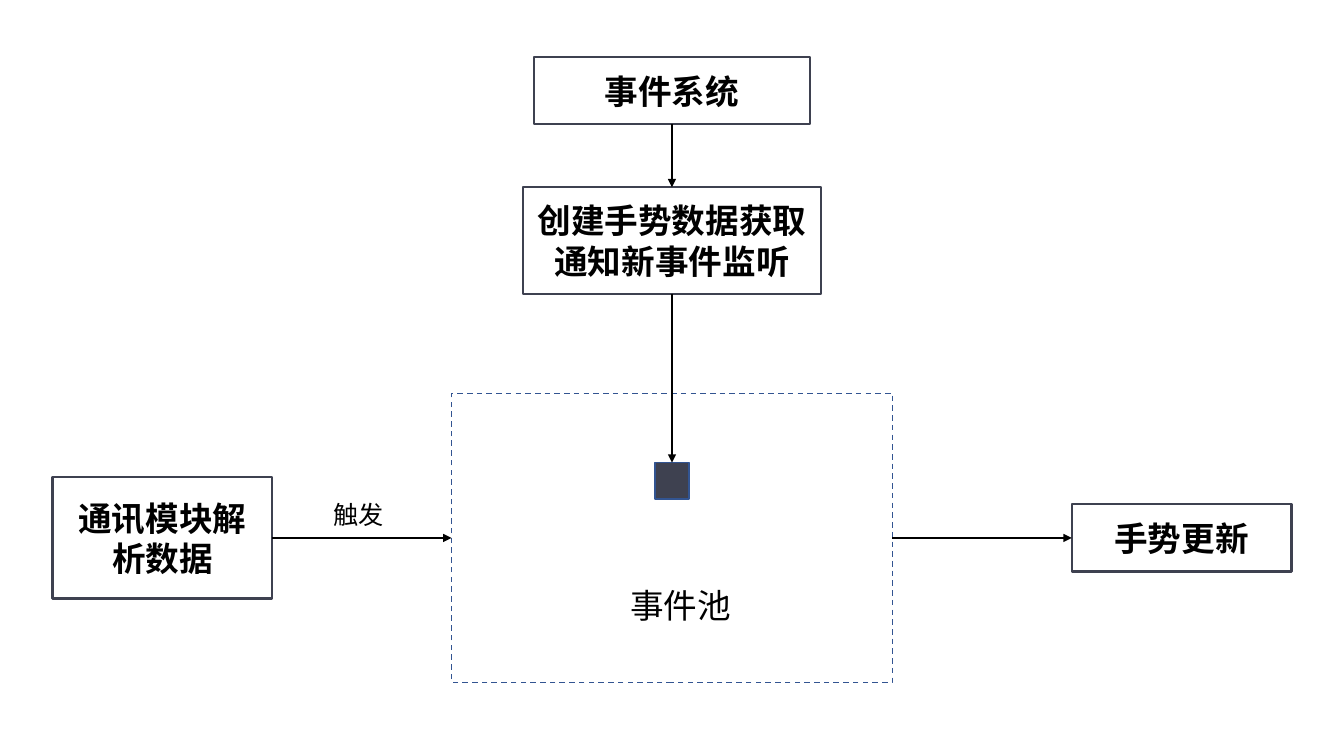
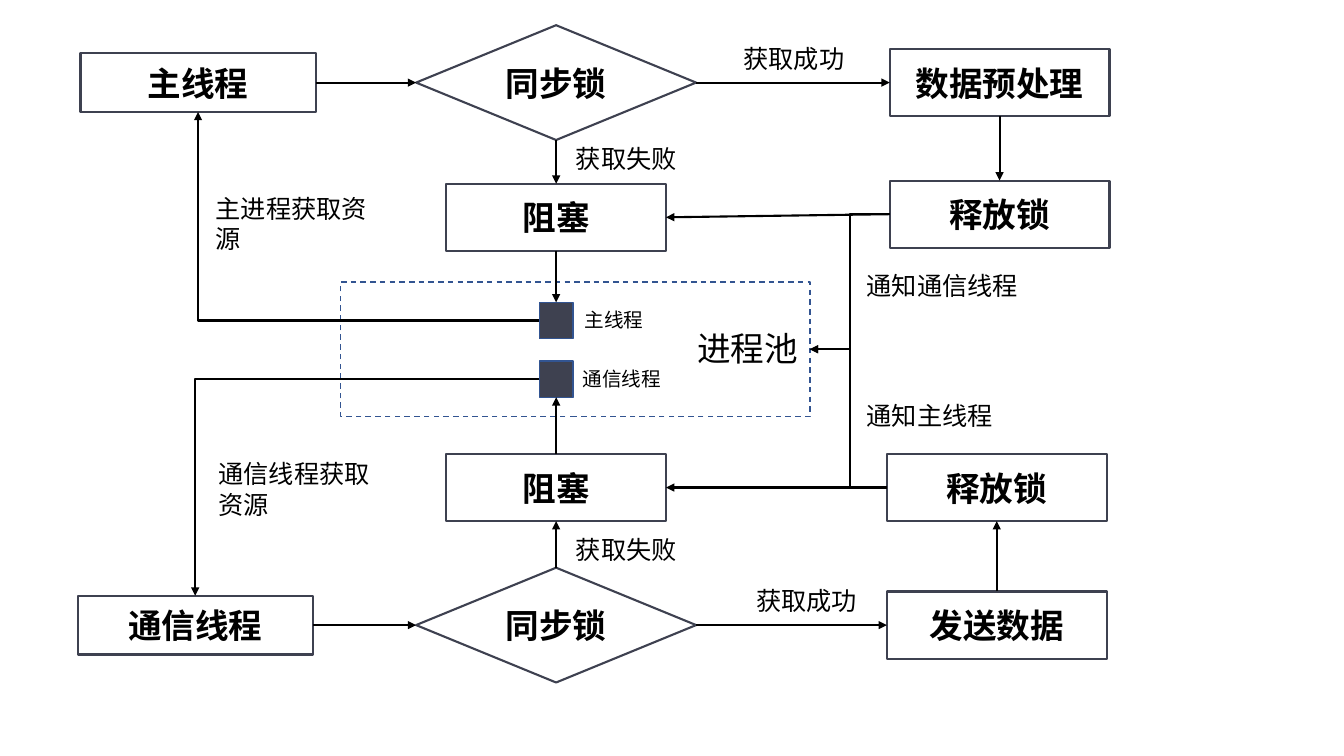
from pptx import Presentation
from pptx.dml.color import RGBColor
from pptx.enum.dml import MSO_LINE
from pptx.enum.shapes import MSO_CONNECTOR as LINK, MSO_SHAPE as SHAPE
from pptx.enum.text import MSO_ANCHOR, MSO_AUTO_SIZE, PP_ALIGN
from pptx.oxml.ns import qn
from pptx.util import Pt
from lxml.etree import SubElement

BLACK = RGBColor(0x00, 0x00, 0x00)
WHITE = RGBColor(0xFF, 0xFF, 0xFF)
SLATE = RGBColor(0x3E, 0x41, 0x50)
BLUE = RGBColor(0x32, 0x54, 0x91)
FONT = "Noto Sans CJK SC"
TOP, LEFT, FOOT, RIGHT = range(4)
STEP = (157, 48)
THREAD = (168, 42)
LOCK = (200, 82)
NODE = (24, 26)


def write(frame, text, size, bold=False, align=PP_ALIGN.LEFT):
    frame.word_wrap = True
    para = frame.paragraphs[0]
    para.text = text
    para.alignment = align
    font = para.font
    font.name = FONT
    font.size = Pt(size)
    font.bold = bold
    font.color.rgb = BLACK
    props = para._p.pPr.find(qn("a:defRPr"))
    SubElement(props, qn("a:ea"), typeface=FONT)


def block(slide, kind, x, y, size, fill, edge, weight):
    shape = slide.shapes.add_shape(kind, Pt(x), Pt(y), *map(Pt, size))
    shape.shadow.inherit = False
    if fill is None:
        shape.fill.background()
    else:
        shape.fill.solid()
        shape.fill.fore_color.rgb = fill
    shape.line.color.rgb = edge
    shape.line.width = Pt(weight)
    return shape


def box(slide, text, x, y, size=STEP, kind=SHAPE.FLOWCHART_PROCESS):
    shape = block(slide, kind, x, y, size, WHITE, SLATE, 1.5)
    shape.text_frame.vertical_anchor = MSO_ANCHOR.MIDDLE
    write(shape.text_frame, text, 24, True, PP_ALIGN.CENTER)
    return shape


def lock(slide, x, y):
    return box(slide, "同步锁", x, y, LOCK, SHAPE.DIAMOND)


def node(slide, x, y):
    return block(slide, SHAPE.FLOWCHART_PROCESS, x, y, NODE, SLATE, BLUE, 1)


def pool(slide, x, y, size):
    shape = block(slide, SHAPE.RECTANGLE, x, y, size, None, BLUE, 1)
    shape.line.dash_style = MSO_LINE.DASH
    return shape


def label(slide, text, x, y, width, height=29, size=18):
    frame = slide.shapes.add_textbox(Pt(x), Pt(y), Pt(width), Pt(height)).text_frame
    write(frame, text, size)
    frame.auto_size = MSO_AUTO_SIZE.SHAPE_TO_FIT_TEXT


def arrow(slide, start, out, end, into, kind=LINK.STRAIGHT):
    line = slide.shapes.add_connector(kind, 0, 0, 0, 0)
    line.begin_connect(start, out)
    line.end_connect(end, into)
    line.line.color.rgb = BLACK
    line.line.width = Pt(1.5)
    props = line._element.spPr
    SubElement(props.find(qn("a:ln")), qn("a:tailEnd"), type="triangle")
    SubElement(props, qn("a:effectLst"))
    return props.find(qn("a:prstGeom"))


def corner(slide, start, out, end, into):
    arrow(slide, start, out, end, into, LINK.ELBOW).set("prst", "bentConnector2")


def bend(slide, start, out, end, into, knee):
    geom = arrow(slide, start, out, end, into, LINK.ELBOW)
    guides = geom.find(qn("a:avLst"))
    SubElement(guides, qn("a:gd"), name="adj1", fmla=f"val {knee}")


def events(slide):
    system = box(slide, "事件系统", 381.5, 41, (197, 47.5))
    listen = box(slide, "创建手势数据获取通知新事件监听", 373.75, 133.75, (212.5, 76))
    queue = pool(slide, 322.5, 281, (315, 206.5))
    event = node(slide, 468, 330.5)
    data = box(slide, "通讯模块解析数据", 37.5, 341, (157, 86.5))
    update = box(slide, "手势更新", 765.5, 360.25)
    label(slide, "事件池", 443, 414.5, 98, 36, 24)
    label(slide, "触发", 231, 353, 55.5)
    arrow(slide, system, FOOT, listen, TOP)
    arrow(slide, listen, FOOT, event, TOP)
    arrow(slide, data, RIGHT, queue, LEFT)
    arrow(slide, queue, RIGHT, update, LEFT)


def threads(slide):
    main_box = box(slide, "主线程", 57.5, 38, THREAD)
    comm_box = box(slide, "通信线程", 55.5, 425.5, THREAD)
    main_lock = lock(slide, 297.25, 18)
    comm_lock = lock(slide, 297.25, 405.5)
    prep = box(slide, "数据预处理", 635.5, 35)
    send = box(slide, "发送数据", 633.5, 422.5)
    main_free = box(slide, "释放锁", 635.5, 129)
    comm_free = box(slide, "释放锁", 633.5, 324.25)
    main_wait = box(slide, "阻塞", 318.75, 131.25)
    comm_wait = box(slide, "阻塞", 318.75, 324.25)
    group = pool(slide, 243.25, 201.5, (335.25, 96))
    main_node = node(slide, 385.25, 216)
    comm_node = node(slide, 385.25, 257.75)

    lanes = (
        (main_box, main_lock, prep, main_free, main_wait, main_node, FOOT, TOP, 50000),
        (comm_box, comm_lock, send, comm_free, comm_wait, comm_node, TOP, FOOT, 48200),
    )
    for thread, gate, work, free, wait, item, inner, outer, knee in lanes:
        arrow(slide, thread, RIGHT, gate, LEFT)
        arrow(slide, gate, RIGHT, work, LEFT)
        arrow(slide, gate, inner, wait, outer)
        arrow(slide, work, inner, free, outer)
        arrow(slide, free, LEFT, wait, RIGHT)
        arrow(slide, wait, inner, item, outer)
        bend(slide, free, LEFT, group, RIGHT, knee)
        corner(slide, item, LEFT, thread, inner)

    label(slide, "进程池", 491, 230.5, 129, 36, 24)
    for text, x, y in (
        ("获取成功", 524, 27.5),
        ("获取失败", 404.25, 98.75),
        ("获取成功", 533, 414.5),
        ("获取失败", 404.25, 378),
        ("通知通信线程", 612, 189.5),
        ("通知主线程", 612, 282.25),
    ):
        label(slide, text, x, y, 126)
    label(slide, "主进程获取资源", 147, 134.5, 129.5, 51)
    label(slide, "通信线程获取资源", 149, 324, 129.5, 51)
    label(slide, "主线程", 410.5, 216.75, 70.5, 24.5, 14)
    label(slide, "通信线程", 409, 258.5, 70.5, 24.5, 14)


def main():
    deck = Presentation()
    deck.slide_width, deck.slide_height = Pt(960), Pt(540)
    for draw in (events, threads):
        draw(deck.slides.add_slide(deck.slide_layouts[6]))
    deck.save("out.pptx")


if __name__ == "__main__":
    main()
